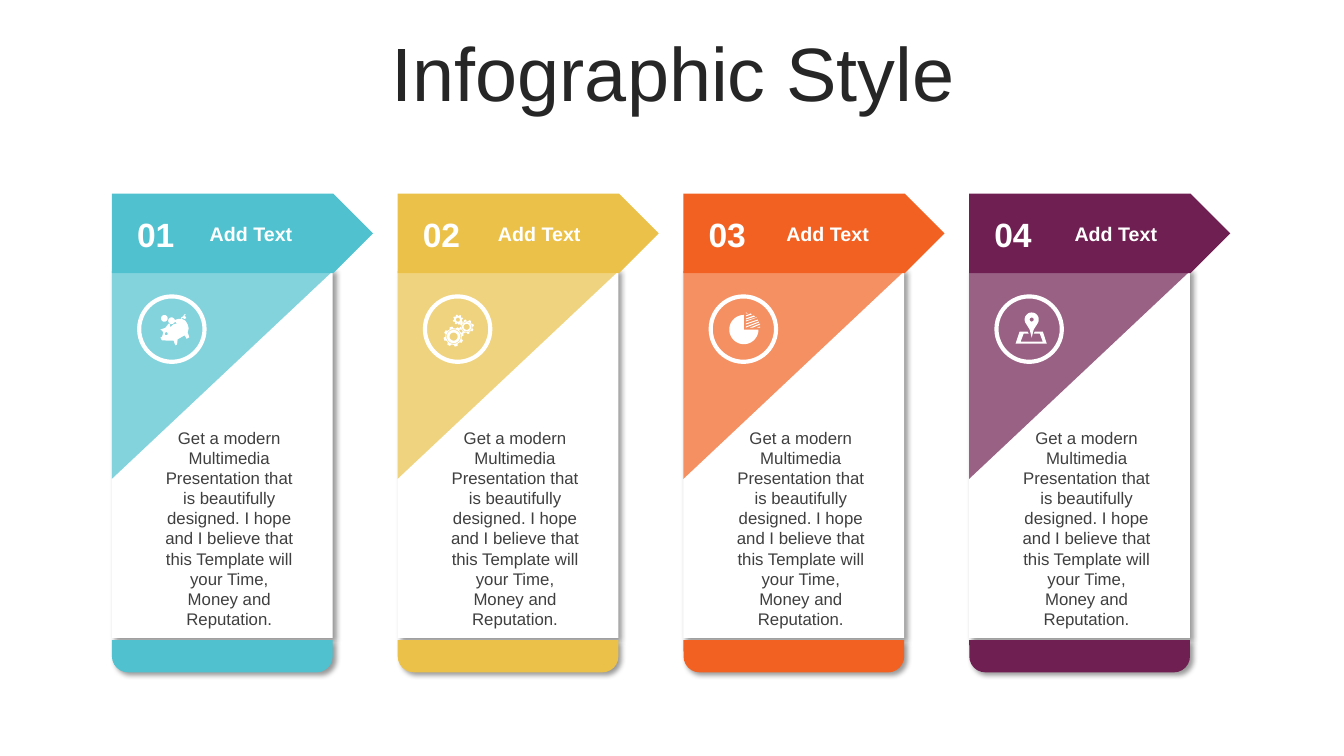
from math import cos, radians, sin

from lxml.etree import SubElement
from pptx import Presentation
from pptx.dml.color import RGBColor
from pptx.enum.shapes import MSO_SHAPE as Shape
from pptx.enum.text import MSO_ANCHOR as Anchor, MSO_AUTO_SIZE as AutoSize, PP_ALIGN as Align
from pptx.oxml.ns import qn
from pptx.util import Inches, Pt

COLUMNS, ROWS = 133.33, 75
CARD_LEFT, CARD_PITCH, CARD_WIDTH = 11.1, 28.35, 21.9
LABEL_PITCH = 28.6
WHITE, TITLE_COLOR, BODY_COLOR = "FFFFFF", "262626", "3F3F3F"
BODY = ("Get a modern Multimedia Presentation that is beautifully designed. I hope and "
        "I believe that this Template will your Time, Money and Reputation.")


def color(value):
    return RGBColor.from_string(value)


def arc(x, y, radius, start=0, end=360, steps=28):
    angles = [radians(start + (end - start) * step / steps) for step in range(steps + 1)]
    return [(x + radius * cos(angle), y + radius * sin(angle)) for angle in angles]


def gear(x, y, outer, inner, teeth=8):
    points = []
    for tooth in range(teeth):
        for shift, radius in ((-14, inner), (-8, outer), (8, outer), (14, inner)):
            angle = radians(tooth * 360 / teeth + shift)
            points.append((x + radius * cos(angle), y + radius * sin(angle)))
    return points


PIGGY = [
    [(33, 10), (33, 11), (31, 11), (32, 12), (32, 14), (30, 14), (29, 12), (28, 12),
     (28, 13), (30, 16), (30, 20), (29, 24), (26, 27), (25, 32), (22, 32), (22, 28),
     (14, 28), (11, 32), (9, 32), (10, 27), (6, 25), (3, 23), (0, 21), (0, 18),
     (2, 18), (5, 15), (5, 13), (4, 11), (9, 12), (14, 10), (15, 12), (14, 12),
     (14, 14), (18, 13), (21, 14), (21, 12), (20, 12), (21, 10), (24, 10.5),
     (27, 12), (28, 11), (30, 11), (32, 10)],
    arc(7, 17.5, 1.5), arc(18, 9, 3.3), arc(13, 3.4, 3.3),
]
GEARS = [
    gear(11, 19.5, 10, 8.2), arc(11, 19.5, 7.3), arc(11, 19.5, 6.6), arc(11, 19.5, 4),
    gear(26, 13.5, 7.2, 5.8), arc(26, 13.5, 5.2), arc(26, 13.5, 4.6), arc(26, 13.5, 3),
    gear(19.5, 4.4, 5, 3.9), arc(19.5, 4.4, 2),
]
PIE = [
    [(15, 17)] + arc(15, 17, 14.5, 0, 270),
    [(31, 14), (31, 15), (28, 15)],
    [(31, 11), (31, 12), (24, 15), (21, 15)],
    [(30, 9), (30, 10), (17, 15), (17, 14)],
    [(29, 7), (29, 8), (17, 12), (17, 11)],
    [(27, 5), (28, 5), (17, 9), (17, 8)],
    [(25, 3), (26, 4), (17, 7), (17, 6)],
    [(22, 1), (23, 2), (17, 4), (17, 3)],
    [(17, 0), (19, 1), (17, 1)],
]
PIN = [
    [(4, 19), (12, 19), (13, 21), (8, 21), (5, 29), (27, 29), (24, 21), (18, 21),
     (19, 19), (27, 19), (31, 31), (0, 31)],
    arc(16, 7, 7, 150, 390) + [(18, 17), (16, 25), (14, 17)],
    arc(16, 7, 2),
]
CARDS = [
    ("4FC1CF", PIGGY, 4.5, 30.9, 330),
    ("EBC149", GEARS, 4.3, 31.3, 345),
    ("F26122", PIE, 4.5, 31, 0),
    ("6F1F51", PIN, 4.6, 31, 0),
]


class SlidePainter:
    """Draw styled elements on a slide, measured in grid columns and rows."""

    def __init__(self, deck, font="Arial"):
        self.font = font
        self.column = deck.slide_width / COLUMNS
        self.row = deck.slide_height / ROWS
        self.page = deck.slides.add_slide(deck.slide_layouts[6])

    def place(self, left, top, width, height):
        return (round(left * self.column), round(top * self.row),
                round(width * self.column), round(height * self.row))

    def paint(self, shape, fill, alpha=None, shadow=False):
        shape.shadow.inherit = False
        shape.fill.solid()
        shape.fill.fore_color.rgb = color(fill)
        shape.line.fill.background()
        properties = shape._element.spPr
        if alpha:
            tone = properties.find(qn("a:solidFill"))[0]
            SubElement(tone, qn("a:alpha"), val=str(alpha * 1000))
        if shadow:
            effects = properties.find(qn("a:effectLst"))
            outer = SubElement(effects, qn("a:outerShdw"), blurRad=str(Pt(4)), dist=str(Pt(3)),
                               dir="2700000", algn="tl", rotWithShape="0")
            tone = SubElement(outer, qn("a:srgbClr"), val="000000")
            SubElement(tone, qn("a:alpha"), val="40000")

    def shape(self, kind, area, fill, adjust=(), rotation=0, **effects):
        shape = self.page.shapes.add_shape(kind, *self.place(*area))
        for index, value in enumerate(adjust):
            shape.adjustments[index] = value
        shape.rotation = rotation
        self.paint(shape, fill, **effects)

    def icon(self, outlines, left, top, rotation):
        detail = 100
        builder = None
        for outline in outlines:
            points = [(x * detail, y * detail) for x, y in outline]
            if builder is None:
                builder = self.page.shapes.build_freeform(*points[0], scale=self.row / 10 / detail)
            else:
                builder.move_to(*points[0])
            builder.add_line_segments(points[1:], close=True)
        shape = builder.convert_to_shape(*self.place(left, top, 0, 0)[:2])
        shape.rotation = rotation
        self.paint(shape, WHITE)

    def text(self, words, area, size, tone=WHITE, bold=False, spacing=None,
             anchor=Anchor.TOP, fit=AutoSize.SHAPE_TO_FIT_TEXT):
        box = self.page.shapes.add_textbox(*self.place(*area))
        frame = box.text_frame
        frame.word_wrap = True
        frame.auto_size = fit
        frame.vertical_anchor = anchor
        para = frame.paragraphs[0]
        para.alignment = Align.CENTER
        para.line_spacing = spacing
        span = para.add_run()
        span.text = words
        span.font.name = self.font
        span.font.size = Pt(size)
        span.font.bold = bold
        span.font.color.rgb = color(tone)

    def card(self, index, tone, outlines, icon_shift, icon_top, icon_rotation):
        left = CARD_LEFT + index * CARD_PITCH
        self.shape(Shape.RECTANGLE, (left, 26.7, CARD_WIDTH, 36.6), WHITE, shadow=True)
        self.shape(Shape.PENTAGON, (left, 19.2, 25.9, 7.9), tone, adjust=[0.5])
        self.shape(Shape.ISOSCELES_TRIANGLE, (left, 26.9, CARD_WIDTH, 20.6), tone,
                   adjust=[1], rotation=180, alpha=70)
        self.shape(Shape.ROUND_2_SAME_RECTANGLE, (left, 63.5, CARD_WIDTH, 3.2), tone,
                   adjust=[0.5, 0], rotation=180, shadow=True)
        self.text(f"{index + 1:02}", (left + 1.35, 20.7, 6, 5), 24, bold=True)
        self.shape(Shape.DONUT, (left + 2.5, 29.2, 6.9, 6.9), WHITE, adjust=[0.06])
        self.icon(outlines, left + icon_shift, icon_top, icon_rotation)
        self.text(BODY, (left + 4.2, 41.9, 14.9, 21.2), 12, tone=BODY_COLOR)
        self.text("Add Text", (18.7 + index * LABEL_PITCH, 21.5, 12.4, 3.4), 14, bold=True)


def main():
    deck = Presentation()
    deck.slide_width, deck.slide_height = Inches(13.33), Inches(7.5)
    painter = SlidePainter(deck)
    painter.text("Infographic Style", (3.5, 3.7, 126.6, 7.9), 54, tone=TITLE_COLOR,
                 spacing=0.9, anchor=Anchor.MIDDLE, fit=AutoSize.NONE)
    for index, card in enumerate(CARDS):
        painter.card(index, *card)
    deck.save("out.pptx")


if __name__ == "__main__":
    main()
